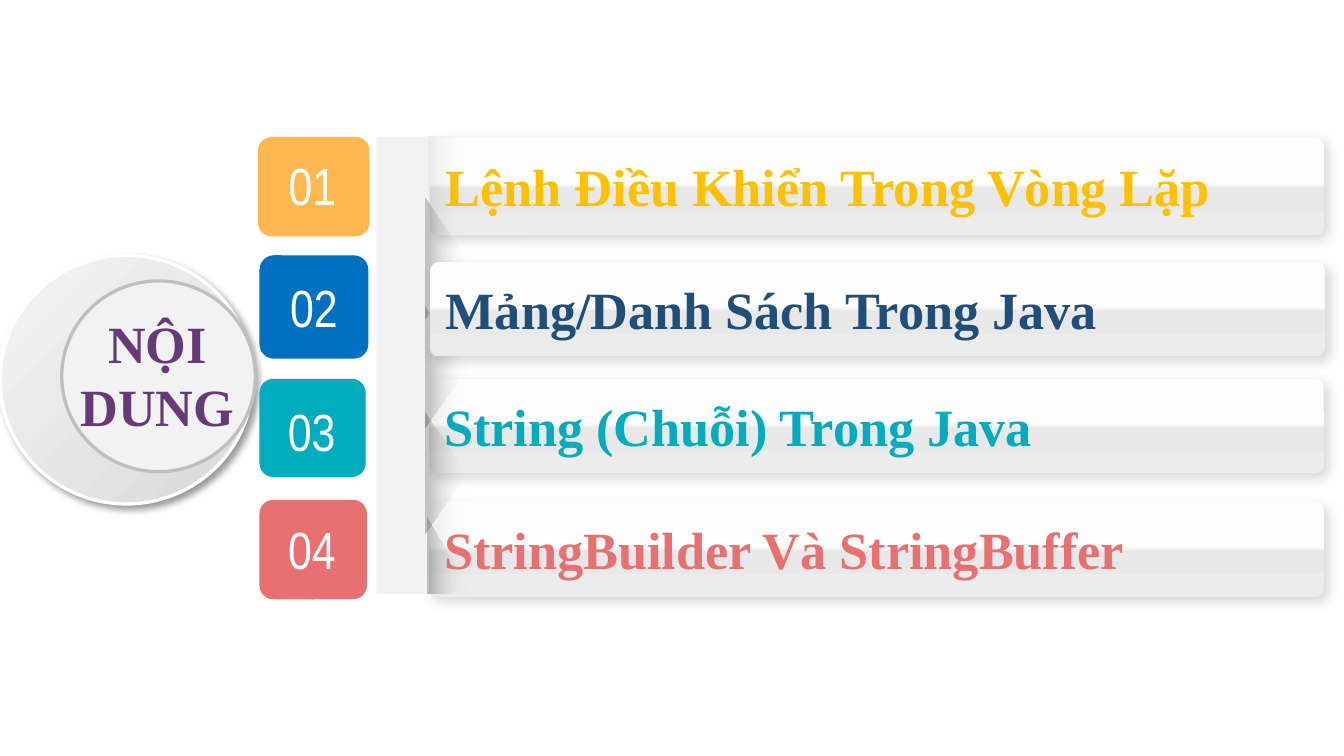
from pptx import Presentation
from pptx.dml.color import RGBColor
from pptx.enum.shapes import MSO_SHAPE as Preset
from pptx.enum.text import MSO_ANCHOR as Anchor, PP_ALIGN as Align
from pptx.oxml import parse_xml
from pptx.oxml.ns import nsdecls, qn
from pptx.util import Pt

WHITE = RGBColor(0xFF, 0xFF, 0xFF)
BLACK = RGBColor(0x00, 0x00, 0x00)
PANEL = RGBColor(0xF2, 0xF2, 0xF2)
RING = RGBColor(0xBF, 0xBF, 0xBF)
DISC_LIGHT = RGBColor(0xF5, 0xF5, 0xF5)
DISC_DARK = RGBColor(0xD9, 0xD9, 0xD9)
BAR_TOP = RGBColor(0xFD, 0xFD, 0xFD)
BAR_MIDDLE = RGBColor(0xE8, 0xE8, 0xE8)
BAR_BOTTOM = RGBColor(0xEC, 0xEC, 0xEC)
PURPLE = RGBColor(0x66, 0x3A, 0x77)
ORANGE = RGBColor(0xFF, 0xB8, 0x50)
GOLD = RGBColor(0xFF, 0xC0, 0x00)
BLUE = RGBColor(0x00, 0x70, 0xC0)
NAVY = RGBColor(0x1F, 0x4E, 0x79)
TEAL = RGBColor(0x01, 0xAC, 0xBE)
CORAL = RGBColor(0xE8, 0x70, 0x71)

# Gradient stops: position %, colour, opacity %
DISC_STOPS = [(0, DISC_LIGHT, 100), (100, DISC_DARK, 100)]
BAR_STOPS = [(47, BAR_TOP, 100), (53, BAR_MIDDLE, 100), (100, BAR_BOTTOM, 100)]
EDGE_STOPS = [(0, BLACK, 8), (100, PANEL, 0)]
FOLD_STOPS = [(0, PANEL, 0), (100, BLACK, 21)]
CORNER_STOPS = [(0, BLACK, 21), (100, PANEL, 0)]
# Shadows: opacity %, blur, distance
DISC_SHADOW = (40, 4, 3)
BAR_SHADOW = (14, 6, 3)

HEADING = {"name": "Times New Roman", "size": Pt(28), "bold": True}
NUMBER = {"name": "Arial Narrow", "size": Pt(28), "bold": False}


def paint(shape, fill, angle=0, line=None, shadow=None):
    """Fill with a colour or gradient stops; the angle runs clockwise."""
    shape.shadow.inherit = False
    properties = shape._element.spPr
    if isinstance(fill, RGBColor):
        shape.fill.solid()
        shape.fill.fore_color.rgb = fill
    else:
        shape.fill.gradient()
        shape.fill.gradient_angle = -angle % 360
        stop_list = properties.find(qn("a:gradFill")).find(qn("a:gsLst"))
        for stop in list(stop_list):
            stop_list.remove(stop)
        for position, color, opacity in fill:
            stop_list.append(parse_xml(
                f'<a:gs {nsdecls("a")} pos="{position * 1000}"><a:srgbClr val="{color}">'
                f'<a:alpha val="{opacity * 1000}"/></a:srgbClr></a:gs>'))
    if line:
        shape.line.color.rgb = line
        shape.line.width = Pt(1.75)
    else:
        shape.line.fill.background()
    if shadow:
        opacity, blur, distance = shadow
        properties.find(qn("a:effectLst")).append(parse_xml(
            f'<a:outerShdw {nsdecls("a")} blurRad="{Pt(blur)}" dist="{Pt(distance)}" '
            f'dir="2700000" algn="tl" rotWithShape="0"><a:srgbClr val="{BLACK}">'
            f'<a:alpha val="{opacity * 1000}"/></a:srgbClr></a:outerShdw>'))


def write(shape, text, style, color, align=Align.CENTER, anchor=Anchor.MIDDLE):
    frame = shape.text_frame
    frame.word_wrap = True
    frame.vertical_anchor = anchor
    para = frame.paragraphs[0]
    para.alignment = align
    span = para.add_run()
    span.text = text
    for key, value in style.items():
        setattr(span.font, key, value)
    span.font.color.rgb = color


deck = Presentation()
deck.slide_width, deck.slide_height = Pt(720), Pt(405)
slide = deck.slides.add_slide(deck.slide_layouts[6])
shapes = slide.shapes

# Title disc
disc = shapes.add_shape(Preset.OVAL, Pt(0), Pt(136.8), Pt(135.4), Pt(133.2))
paint(disc, DISC_STOPS, 45, WHITE, DISC_SHADOW)
inner_disc = shapes.add_shape(Preset.OVAL, Pt(33.1), Pt(150.5), Pt(103.7), Pt(102.2))
paint(inner_disc, PANEL, line=RING)
title = shapes.add_textbox(Pt(16.6), Pt(163.4), Pt(135.4), Pt(90.7))
write(title, "NỘI DUNG", HEADING, PURPLE, anchor=Anchor.TOP)

# Number tiles: number, colour, tile place, label place (None: text in the tile)
tiles = [
    ("01", ORANGE, (138.2, 73.4, 59.8, 53.3), (138.2, 78.5, 58.3, 41)),
    ("03", TEAL, (139, 203, 56.9, 52.6), (138.2, 210.2, 57.6, 28.1)),
    ("04", CORAL, (139, 267.8, 57.6, 53.3), (139, 273.6, 56.2, 41)),
    ("02", BLUE, (139, 136.8, 58.3, 55.4), None),
]
for number, color, tile_place, label_place in tiles:
    tile = shapes.add_shape(Preset.ROUNDED_RECTANGLE, *map(Pt, tile_place))
    tile.adjustments[0] = 0.14
    paint(tile, color)
    if label_place:
        label = shapes.add_textbox(*map(Pt, label_place))
        write(label, number, NUMBER, WHITE, anchor=Anchor.TOP)
    else:
        write(tile, number, NUMBER, WHITE)

# Topic bars; the folded panel lies over all but the last one
bars = [
    ("Lệnh Điều Khiển Trong Vòng Lặp", GOLD, (230.4, 73.4, 478.8, 52.6)),
    ("String (Chuỗi) Trong Java", TEAL, (229.7, 203, 479.5, 50.4)),
    ("StringBuilder Và StringBuffer", CORAL, (229.7, 268.6, 479.5, 51.1)),
    ("Mảng/Danh Sách Trong Java", NAVY, (230.4, 140.4, 479.5, 50.4)),
]
for topic, color, place in bars:
    if topic == bars[-1][0]:
        edge = shapes.add_shape(Preset.RECTANGLE, Pt(229), Pt(73.4), Pt(21.6), Pt(244.8))
        paint(edge, EDGE_STOPS)
        panel = shapes.add_shape(Preset.RECTANGLE, Pt(201.6), Pt(73.4), Pt(28.1), Pt(244.8))
        paint(panel, PANEL)
        for top in (127.4, 185.8, 242.6):
            fold = shapes.add_shape(Preset.TRAPEZOID, Pt(206.6), Pt(top), Pt(64.8), Pt(21.6))
            fold.adjustments[0] = 1.74
            fold.rotation = 90
            paint(fold, FOLD_STOPS, 90)
        outline = shapes.build_freeform(Pt(249.8), Pt(313.2))
        outline.add_line_segments(
            [(Pt(229), Pt(277.2)), (Pt(229), Pt(318.2)), (Pt(249.8), Pt(318.2))])
        paint(outline.convert_to_shape(), CORNER_STOPS)
    bar = shapes.add_shape(Preset.ROUNDED_RECTANGLE, *map(Pt, place))
    bar.adjustments[0] = 0.09
    paint(bar, BAR_STOPS, 90, shadow=BAR_SHADOW)
    write(bar, topic, HEADING, color, Align.LEFT)

deck.save("out.pptx")
